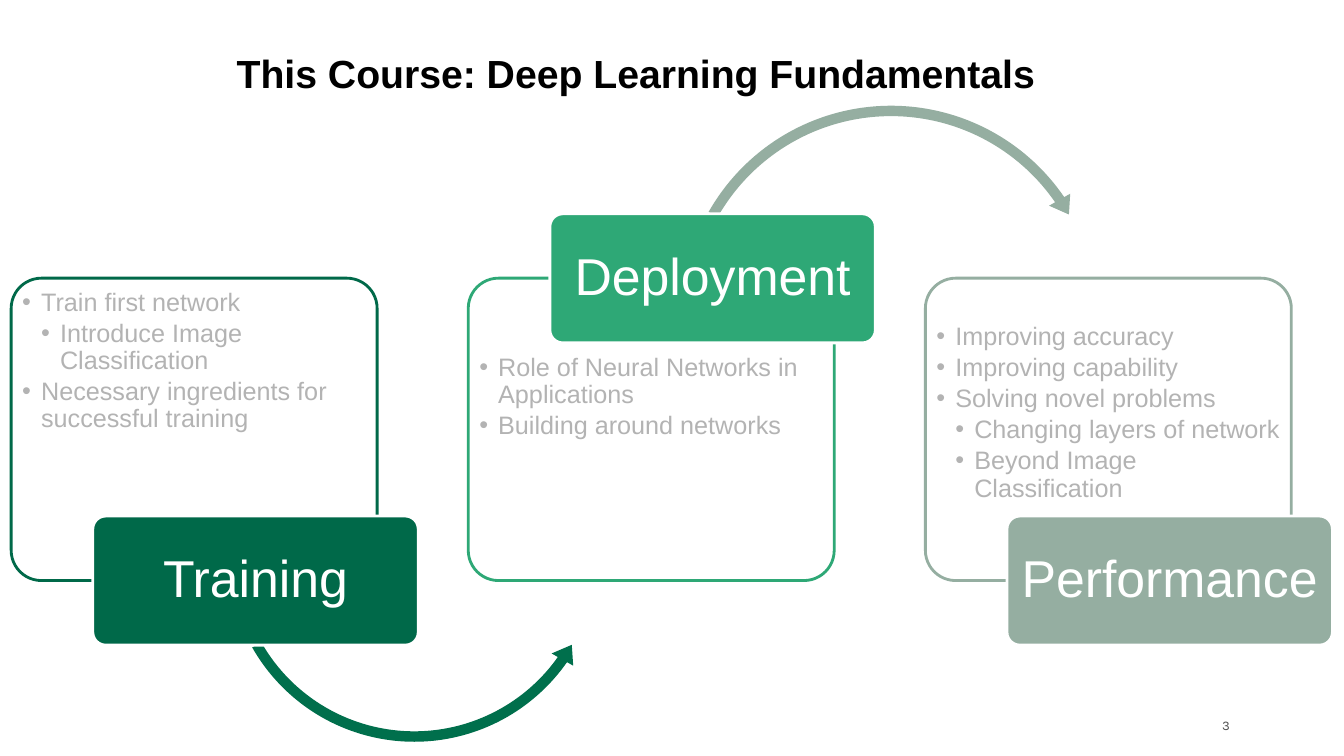
from dataclasses import dataclass

from lxml import etree
from pptx import Presentation
from pptx.dml.color import RGBColor
from pptx.enum.shapes import MSO_SHAPE
from pptx.enum.text import MSO_ANCHOR, PP_ALIGN
from pptx.oxml.ns import qn
from pptx.util import Pt

ROUNDED = MSO_SHAPE.ROUNDED_RECTANGLE
ARROW_OVER = MSO_SHAPE.CIRCULAR_ARROW
ARROW_UNDER = MSO_SHAPE.LEFT_CIRCULAR_ARROW
LEFT, CENTER, RIGHT = PP_ALIGN.LEFT, PP_ALIGN.CENTER, PP_ALIGN.RIGHT
TOP, MIDDLE = MSO_ANCHOR.TOP, MSO_ANCHOR.MIDDLE


@dataclass(frozen=True)
class Theme:
    font: str = "Arial"
    number_font: str = "Karla"
    title_size: float = 28
    label_size: float = 37
    bullet_size: float = 18
    number_size: float = 9.4
    black: str = "000000"
    white: str = "FFFFFF"
    bullet_gray: str = "B3B3B3"
    number_gray: str = "505050"
    dark_green: str = "006949"
    arrow_green: str = "006F4C"
    green: str = "2EA876"
    sage: str = "95AEA1"


THEME = Theme()

CARD_LEFT, CARD_TOP, CARD_WIDTH, CARD_HEIGHT = 8, 198.7, 261.4, 216
CARD_PITCH = 326.5
LABEL_SHIFT, LABEL_WIDTH, LABEL_HEIGHT = 58.3, 232.5, 92.2
LABEL_ABOVE, LABEL_BELOW = 152.7, 368.6
BULLET_INDENT = 13.5

# label, colour, label top, bullet inset from the card top, bullets with level
STAGES = [
    ("Training", THEME.dark_green, LABEL_BELOW, 1.6, [
        ("Train first network", 0),
        ("Introduce Image Classification", 1),
        ("Necessary ingredients for successful training", 0),
    ]),
    ("Deployment", THEME.green, LABEL_ABOVE, 48.4, [
        ("Role of Neural Networks in Applications", 0),
        ("Building around networks", 0),
    ]),
    ("Performance", THEME.sage, LABEL_BELOW, 26, [
        ("Improving accuracy", 0),
        ("Improving capability", 0),
        ("Solving novel problems", 0),
        ("Changing layers of network", 1),
        ("Beyond Image Classification", 1),
    ]),
]

# Arrow leaving each stage: preset, left, top, size, colour,
# then band %, head angle, end angle, start angle, head %
ARROWS = {
    "Training": (ARROW_UNDER, 157.7, 258.5, 276.5, THEME.arrow_green,
                 (2.7, 5.52, 35.11, 150.41, 3.2)),
    "Deployment": (ARROW_OVER, 481.7, 70.6, 309.6, THEME.sage,
                   (2.4, 4.89, 325.52, 209.59, 2.8)),
}


def rgb(color):
    return RGBColor.from_string(color)


def add_bullet(paragraph, level):
    paragraph.level = level
    props = paragraph._p.get_or_add_pPr()
    props.set("marL", str(Pt(BULLET_INDENT * (level + 1))))
    props.set("indent", str(-Pt(BULLET_INDENT)))
    etree.SubElement(props, qn("a:buFont"), typeface=THEME.font)
    etree.SubElement(props, qn("a:buChar"), char="•")


def write_text(shape, lines, size, color, font=THEME.font, bold=False, align=LEFT,
               anchor=TOP, margins=(0, 0, 0, 0), bulleted=False, spacing=None, after=0):
    """Fill a shape with (text, level) lines; margins run left, top, right, bottom."""
    frame = shape.text_frame
    frame.word_wrap = True
    frame.vertical_anchor = anchor
    (frame.margin_left, frame.margin_top,
     frame.margin_right, frame.margin_bottom) = map(Pt, margins)
    for index, (text, level) in enumerate(lines):
        paragraph = frame.add_paragraph() if index else frame.paragraphs[0]
        if bulleted:
            add_bullet(paragraph, level)
        paragraph.alignment = align
        paragraph.line_spacing = spacing
        paragraph.space_after = Pt(after)
        run = paragraph.add_run()
        run.text = text
        run.font.name = font
        run.font.size = Pt(size)
        run.font.bold = bold
        run.font.color.rgb = rgb(color)


def add_box(slide, left, top, width, height, fill, line):
    box = slide.shapes.add_shape(ROUNDED, Pt(left), Pt(top), Pt(width), Pt(height))
    box.adjustments[0] = 0.1
    box.shadow.inherit = False
    box.fill.solid()
    box.fill.fore_color.rgb = rgb(fill)
    box.line.color.rgb = rgb(line)
    box.line.width = Pt(2)
    return box


def set_opacity(shape, percent):
    color = shape.fill._xPr.find(qn("a:solidFill"))[0]
    etree.SubElement(color, qn("a:alpha"), val=str(percent * 1000))


def add_arrow(slide, preset, left, top, size, color, geometry):
    arrow = slide.shapes.add_shape(preset, Pt(left), Pt(top), Pt(size), Pt(size))
    band, head_angle, end_angle, start_angle, head = geometry
    arrow.adjustments[0] = band / 100
    for index, angle in enumerate((head_angle, end_angle, start_angle), 1):
        arrow.adjustments[index] = angle * 0.6  # 60000 units a degree, 100000 a whole
    arrow.adjustments[4] = head / 100
    arrow.shadow.inherit = False
    arrow.fill.solid()
    arrow.fill.fore_color.rgb = rgb(color)
    arrow.line.fill.background()


def add_stage(slide, left, name, color, label_top, bullet_inset, bullets):
    card = add_box(slide, left, CARD_TOP, CARD_WIDTH, CARD_HEIGHT, THEME.white, color)
    set_opacity(card, 90)
    write_text(card, bullets, THEME.bullet_size, THEME.bullet_gray, bulleted=True,
               margins=(1.6, bullet_inset, 1.6, 0), spacing=0.9, after=2.8)
    if name in ARROWS:
        add_arrow(slide, *ARROWS[name])
    label = add_box(slide, left + LABEL_SHIFT, label_top, LABEL_WIDTH, LABEL_HEIGHT,
                    color, THEME.white)
    write_text(label, [(name, 0)], THEME.label_size, THEME.white,
               align=CENTER, anchor=MIDDLE, spacing=0.9)


def add_text(slide, left, top, width, height, text, **style):
    box = slide.shapes.add_textbox(Pt(left), Pt(top), Pt(width), Pt(height))
    write_text(box, [(text, 0)], **style)


def main():
    deck = Presentation()
    deck.slide_width, deck.slide_height = Pt(960), Pt(540)
    slide = deck.slides.add_slide(deck.slide_layouts[6])
    add_text(slide, 854, 510.5, 31.5 - 7, 14.4, "3", size=THEME.number_size,
             color=THEME.number_gray, font=THEME.number_font, align=RIGHT, anchor=MIDDLE)
    for column, stage in enumerate(STAGES):
        add_stage(slide, CARD_LEFT + column * CARD_PITCH, *stage)
    add_text(slide, 162, 31.7, 667.4, 41, "This Course: Deep Learning Fundamentals",
             size=THEME.title_size, color=THEME.black, bold=True,
             margins=(7.2, 3.6, 7.2, 3.6))
    deck.save("out.pptx")


if __name__ == "__main__":
    main()
